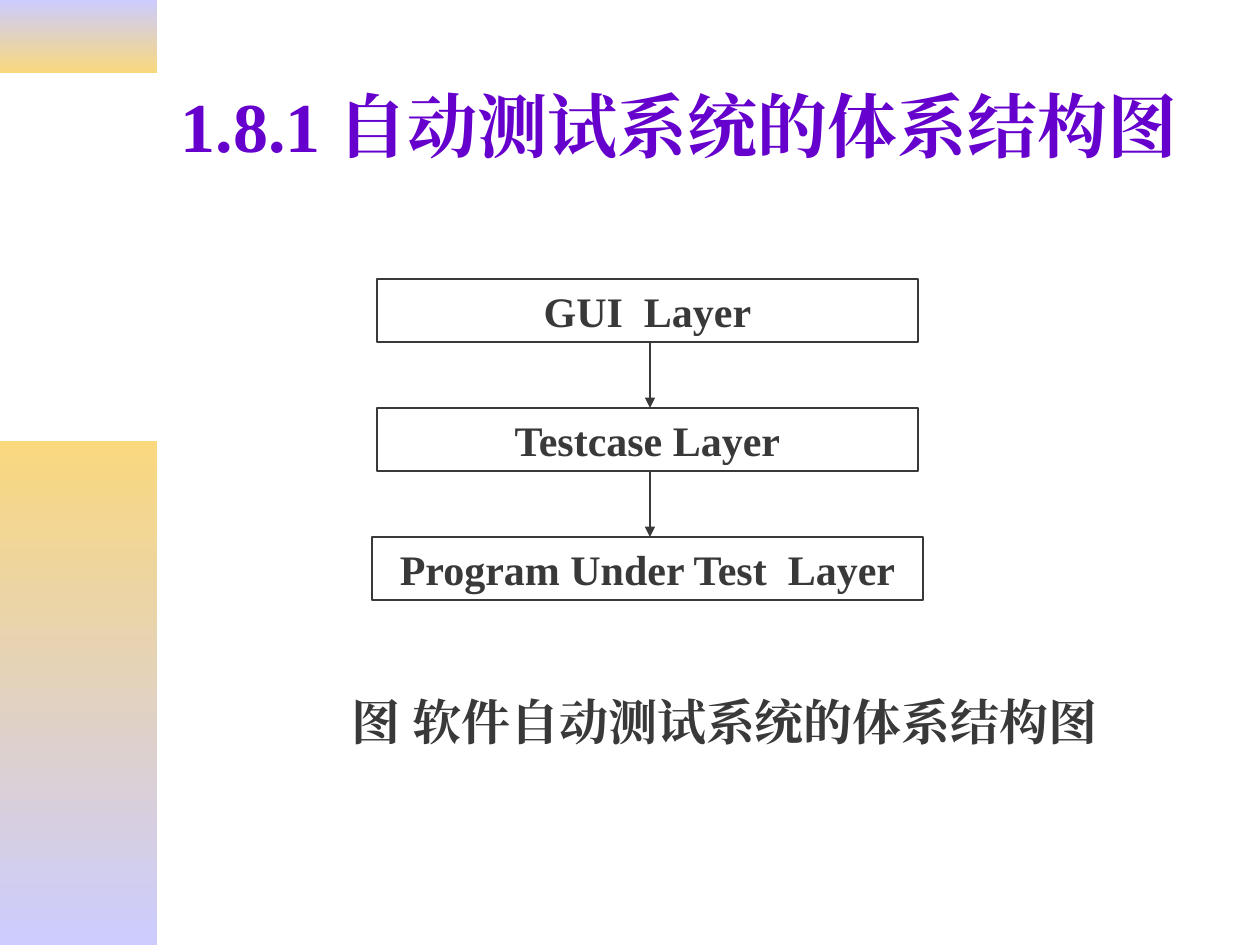
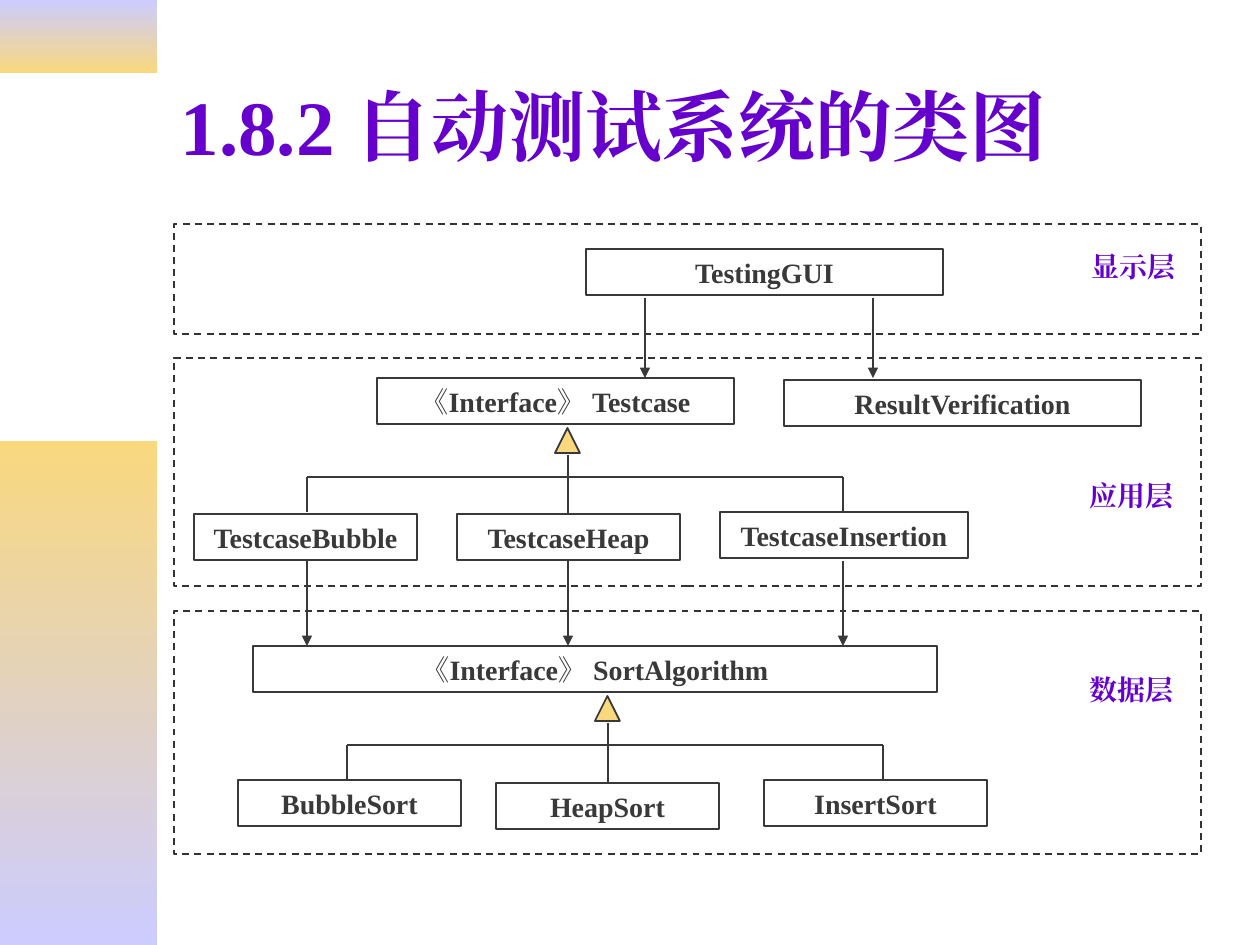
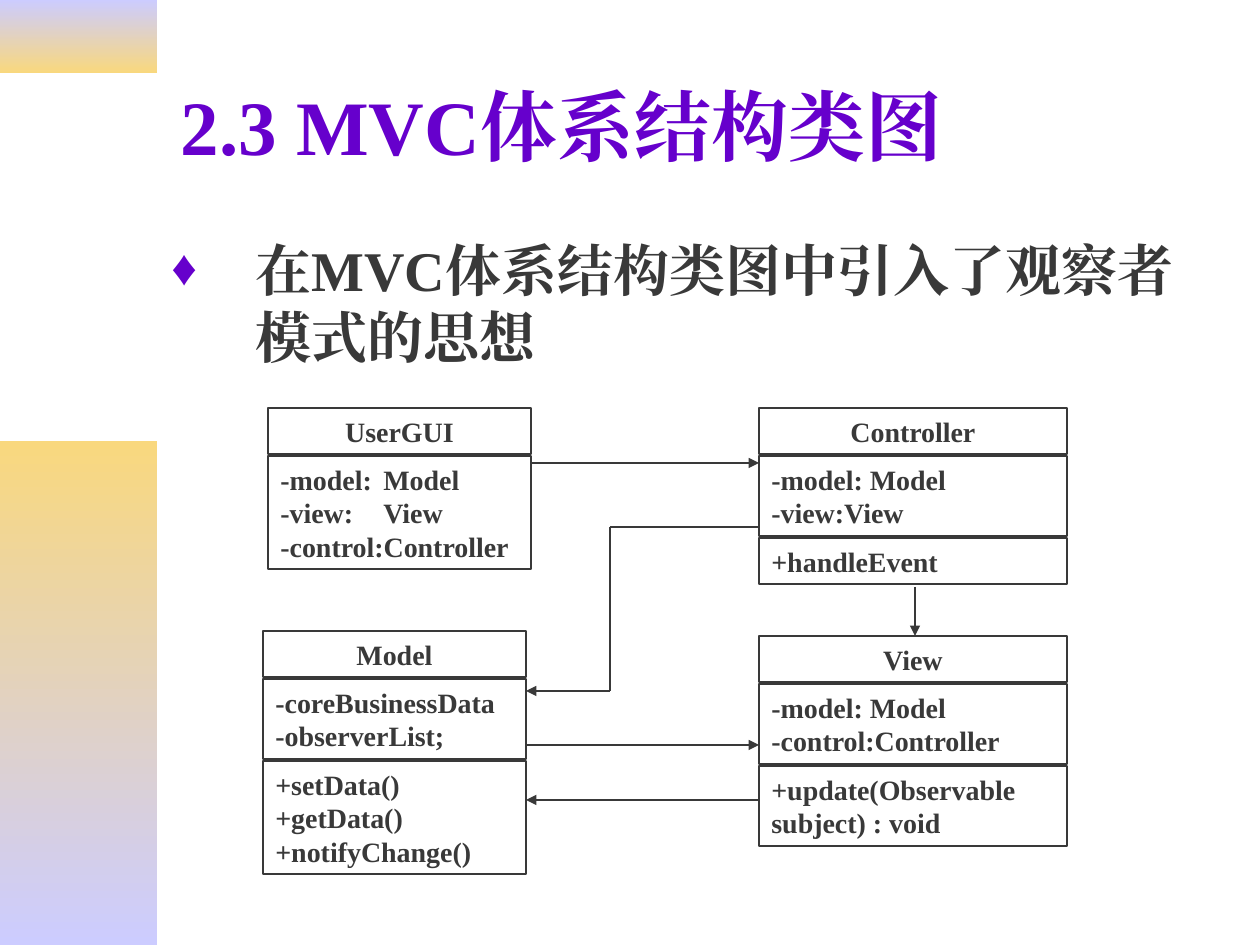
from lxml import etree
from pptx import Presentation, util as u
from pptx.dml.color import RGBColor
from pptx.enum import dml, shapes, text
from pptx.oxml.ns import qn

PURPLE = "6600CC"
INK = "393939"
DASH = "333333"
GOLD = "F9D87E"
LILAC = "CCCCFF"
FONT = "Times New Roman"
LINE_RATIO = 1.2
PX_PER_INCH = 126


def px(length):
    return u.Emu(round(length * 914400 / PX_PER_INCH))


def rgb(color):
    return RGBColor.from_string(color)


def add_element(parent, tag, **attributes):
    return etree.SubElement(parent, qn(tag), attributes)


class SlideMaker:
    def __init__(self):
        self.deck = Presentation()
        self.deck.slide_width = px(1260)
        self.deck.slide_height = px(945)
        self.page = None

    def start(self, title, size=44):
        self.page = self.deck.slides.add_slide(self.deck.slide_layouts[5])
        self.band(0, 73, LILAC, GOLD)
        self.band(441, 504, GOLD, LILAC)
        box = self.page.shapes.title
        box.left, box.top, box.width, box.height = map(px, (168, 42, 1071, 166))
        self.set_text(box, [title], size, PURPLE)
        box.text_frame.vertical_anchor = text.MSO_ANCHOR.MIDDLE

    def band(self, top, height, first, last):
        band = self.shape("RECTANGLE", 0, top, 157, height)
        band.fill.gradient()
        band.fill.gradient_angle = 270
        for stop, color in zip(band.fill.gradient_stops, (first, last)):
            stop.color.rgb = rgb(color)
        band.line.fill.background()

    def shape(self, kind, left, top, width, height, color=INK):
        shape = self.page.shapes.add_shape(
            shapes.MSO_SHAPE[kind], *map(px, (left, top, width, height)))
        shape.shadow.inherit = False
        shape.fill.background()
        shape.line.color.rgb = rgb(color)
        shape.line.width = u.Pt(1)
        return shape

    def set_text(self, box, lines, size, color=INK, align="LEFT", wrap=True,
                 bullet=None, hang=0, tab=None):
        frame = box.text_frame
        frame.auto_size = text.MSO_AUTO_SIZE.NONE
        frame.word_wrap = wrap
        frame.vertical_anchor = text.MSO_ANCHOR.TOP
        for index, line in enumerate(lines):
            para = frame.add_paragraph() if index else frame.paragraphs[0]
            para.text = line
            para.alignment = text.PP_ALIGN[align]
            para.line_spacing = u.Pt(size * LINE_RATIO)
            para.space_before = u.Pt(0)
            props = para._p.get_or_add_pPr()
            if bullet:
                props.set("marL", str(px(hang)))
                props.set("indent", str(-px(hang)))
                add_element(add_element(props, "a:buClr"), "a:srgbClr", val=PURPLE)
                add_element(props, "a:buSzPct", val="90000")
                add_element(props, "a:buFont", typeface=FONT)
                add_element(props, "a:buChar", char=bullet)
            if tab:
                stops = add_element(props, "a:tabLst")
                add_element(stops, "a:tab", pos=str(px(tab)), algn="l")
            font = para.font
            font.name = FONT
            font.size = u.Pt(size)
            font.bold = True
            font.color.rgb = rgb(color)
            add_element(props.find(qn("a:defRPr")), "a:ea", typeface=FONT)

    def label(self, left, top, width, height, words, size, **style):
        box = self.page.shapes.add_textbox(*map(px, (left, top, width, height)))
        self.set_text(box, [words], size, **style)

    def box(self, left, top, width, lines, size=16, rows=1, align="CENTER", tab=None):
        height = round(12.6 + rows * size * LINE_RATIO * PX_PER_INCH / 72)
        box = self.shape("RECTANGLE", left, top, width, height)
        self.set_text(box, lines, size, align=align, tab=tab)
        return top + height

    def layer(self, top, height):
        frame = self.shape("RECTANGLE", 174, top, 1027, height, DASH)
        frame.line.dash_style = dml.MSO_LINE.DASH

    def line(self, x1, y1, x2, y2, arrow=False):
        line = self.page.shapes.add_connector(
            shapes.MSO_CONNECTOR.STRAIGHT, *map(px, (x1, y1, x2, y2)))
        line.line.color.rgb = rgb(INK)
        line.line.width = u.Pt(1)
        if arrow:
            add_element(line.line._get_or_add_ln(), "a:tailEnd", type="triangle")
        add_element(line._element.spPr, "a:effectLst")

    def inheritance(self, peak, top, left, right):
        triangle = self.shape("ISOSCELES_TRIANGLE", peak - 13, top, 25, 25)
        triangle.fill.solid()
        triangle.fill.fore_color.rgb = rgb(GOLD)
        bar = top + 49
        self.line(left, bar, right, bar)
        for side in (left, right):
            self.line(side, bar, side, top + 84)
        self.line(peak, top + 27, peak, top + 87)

    def class_box(self, left, top, width, name, *sections, tab=None):
        bottom = self.box(left, top, width, [name])
        for rows, lines in sections:
            bottom = self.box(left, bottom + 2, width, lines, rows=rows,
                              align="LEFT", tab=tab)


def layers_slide(maker):
    maker.start("1.8.1 自动测试系统的体系结构图", 40)
    layers = [(377, 541, "GUI  Layer"), (377, 541, "Testcase Layer"),
              (372, 551, "Program Under Test  Layer")]
    for index, (left, width, name) in enumerate(layers):
        top = 279 + 129 * index
        maker.box(left, top, width, [name], size=24)
        if index:
            maker.line(650, top - 65, 650, top, arrow=True)
    maker.label(189, 685, 1071, 74, "图 软件自动测试系统的体系结构图", 28, align="CENTER")


def classes_slide(maker):
    maker.start("1.8.2 自动测试系统的类图")
    for left, top, width, name in [
            (586, 249, 357, "TestingGUI"),
            (377, 378, 357, "《Interface》 Testcase"),
            (784, 380, 357, "ResultVerification"),
            (194, 514, 223, "TestcaseBubble"),
            (457, 514, 223, "TestcaseHeap"),
            (720, 512, 248, "TestcaseInsertion"),
            (253, 646, 684, "《Interface》 SortAlgorithm"),
            (238, 780, 223, "BubbleSort"),
            (496, 783, 223, "HeapSort"),
            (764, 780, 223, "InsertSort")]:
        maker.box(left, top, width, [name])
    for top, height in [(224, 110), (358, 228), (611, 243)]:
        maker.layer(top, height)
    for x in (645, 873):
        maker.line(x, 298, x, 378, arrow=True)
    for x in (307, 568, 843):
        maker.line(x, 561, x, 646, arrow=True)
    maker.inheritance(568, 428, 307, 843)
    maker.inheritance(608, 696, 347, 883)
    for left, top, name in [(1079, 243, "显示层"), (1077, 472, "应用层"),
                            (1077, 666, "数据层")]:
        maker.label(left, top, 108, 47, name, 16, color=PURPLE, wrap=False)


def mvc_slide(maker):
    maker.start("2.3 MVC体系结构类图")
    maker.label(159, 229, 1071, 159, "在MVC体系结构类图中引入了观察者模式的思想", 32,
                bullet="♦", hang=84)
    maker.class_box(268, 408, 263, "UserGUI",
                    (3, ["-model:\tModel", "-view:\tView", "-control:Controller"]),
                    tab=103)
    maker.class_box(263, 631, 263, "Model",
                    (2, ["-coreBusinessData", "-observerList;"]),
                    (3, ["+setData()", "+getData()", "+notifyChange()"]))
    maker.class_box(759, 408, 308, "Controller",
                    (2, ["-model: Model", "-view:View"]),
                    (1, ["+handleEvent"]))
    maker.class_box(759, 636, 308, "View",
                    (2, ["-model: Model", "-control:Controller"]),
                    (2, ["+update(Observable subject) : void"]))
    for ends in [(531, 463, 759, 463), (915, 587, 915, 636), (526, 745, 759, 745),
                 (759, 800, 526, 800), (610, 691, 526, 691)]:
        maker.line(*ends, arrow=True)
    maker.line(610, 691, 610, 527)
    maker.line(610, 527, 759, 527)


def main():
    maker = SlideMaker()
    layers_slide(maker)
    classes_slide(maker)
    mvc_slide(maker)
    maker.deck.save("out.pptx")


if __name__ == "__main__":
    main()
